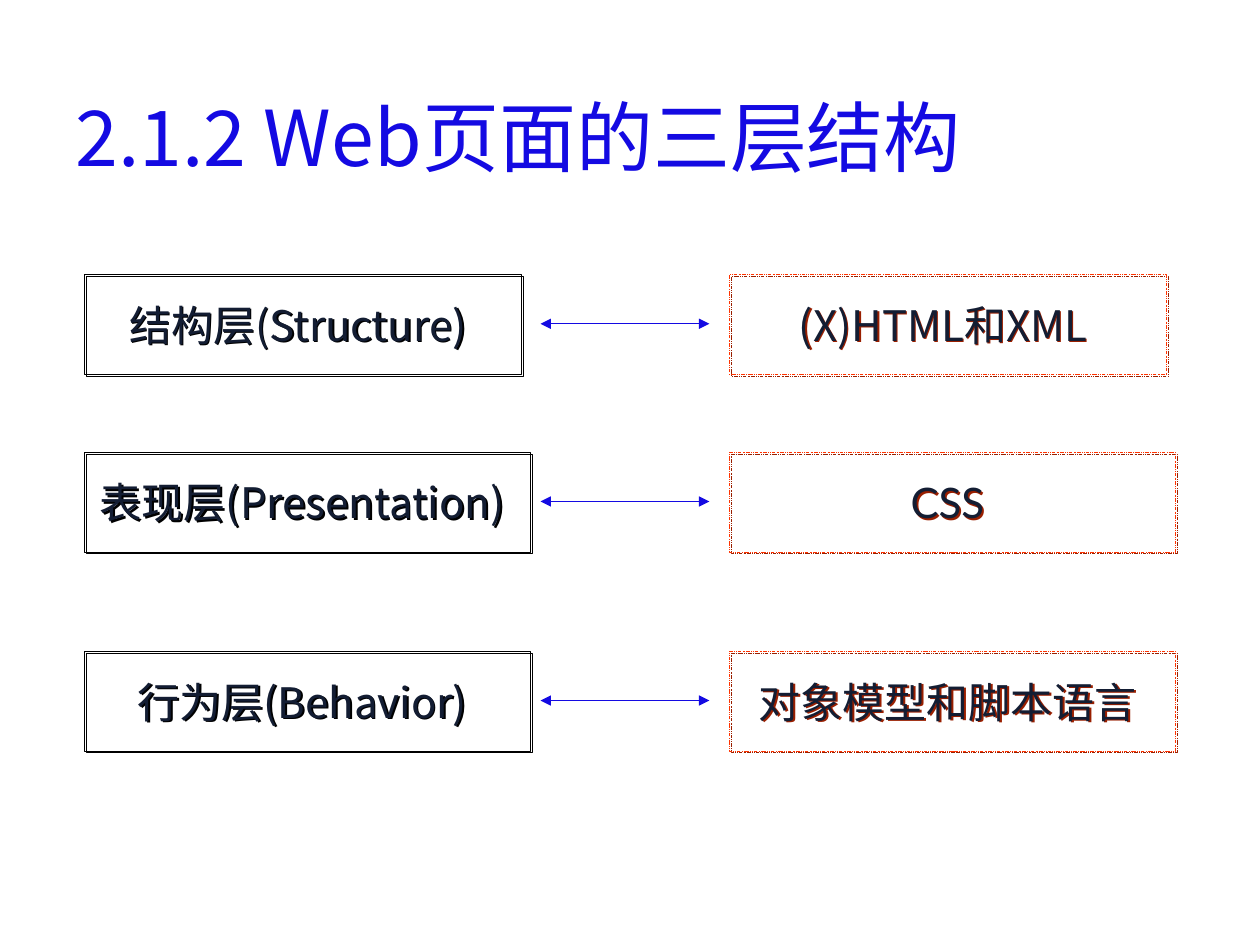
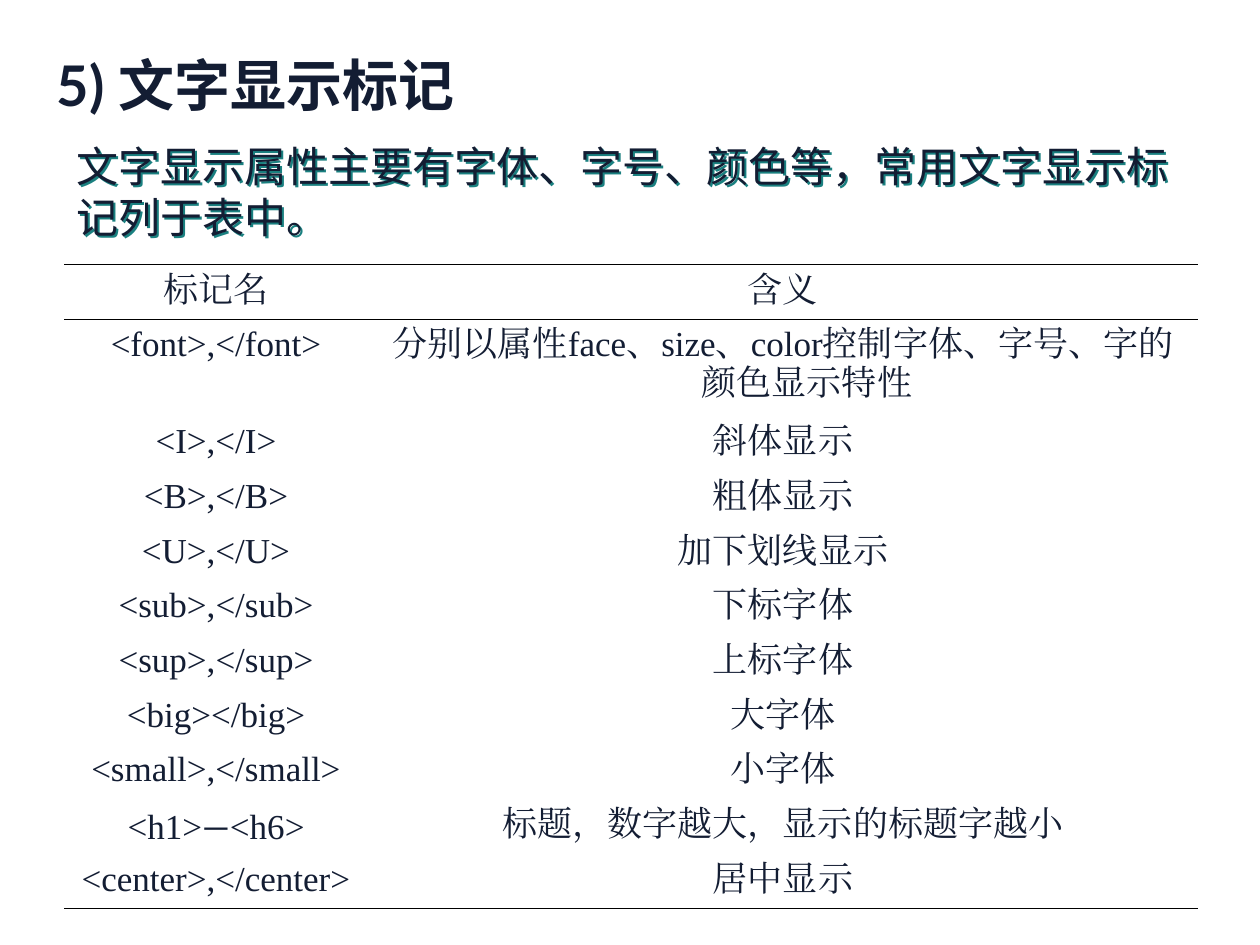
from lxml import etree
from pptx import Presentation
from pptx import util as u
from pptx.dml import color
from pptx.enum import dml, shapes, text
from pptx.oxml import ns

PX = 9144
HUES = {"ink": "131D33", "blue": "140AE2", "black": "000000",
        "red": "FF3300", "rust": "991F00", "teal": "1A8080"}
SANS, LATO, SERIF = "Noto Sans CJK SC", "Lato", "Times New Roman"

LAYERS = [
    (218, 347, "结构层(Structure)", "(X)HTML和XML", SANS),
    (359, 354, "表现层(Presentation)", "CSS", LATO),
    (517, 354, "行为层(Behavior)", "对象模型和脚本语言", LATO),
]
TAGS = [
    ("标记名", "含义"),
    ("<font>,</font>", "分别以属性face、size、color控制字体、字号、字的颜色显示特性"),
    ("<I>,</I>", "斜体显示"),
    ("<B>,</B>", "粗体显示"),
    ("<U>,</U>", "加下划线显示"),
    ("<sub>,</sub>", "下标字体"),
    ("<sup>,</sup>", "上标字体"),
    ("<big></big>", "大字体"),
    ("<small>,</small>", "小字体"),
    ([("<h1>", SERIF), ("—", LATO), ("<h6>", SERIF)], "标题，数字越大，显示的标题字越小"),
    ("<center>,</center>", "居中显示"),
]


def emu(*sizes):
    return [u.Emu(size * PX) for size in sizes]


def rgb(hue):
    return color.RGBColor.from_string(HUES[hue])


def sub(node, tag, **attrs):
    return etree.SubElement(node, ns.qn(tag), attrs)


def write(frame, words, font=SANS, east=None, size=24, hue="ink", bold=False,
          align=text.PP_ALIGN.LEFT, anchor=text.MSO_ANCHOR.MIDDLE, wrap=True, hang=0):
    frame.word_wrap = wrap
    frame.vertical_anchor = anchor
    para = frame.paragraphs[0]
    para.alignment = align
    if hang:
        props = para._p.get_or_add_pPr()
        props.set("marL", str(hang * PX))
        props.set("indent", str(-hang * PX))
    parts = [(words, font)] if isinstance(words, str) else words
    for part, face in parts:
        run = para.add_run()
        run.text = part
        run.font.name = face
        run.font.size = u.Pt(size)
        run.font.bold = bold
        run.font.color.rgb = rgb(hue)
        sub(run._r.get_or_add_rPr(), "a:ea", typeface=east or face)


def shade(shape, hue):
    shape.shadow.inherit = False
    glow = shape._element.spPr.find(ns.qn("a:effectLst"))
    drop = sub(glow, "a:outerShdw", dist="17780", dir="2700000", algn="ctr", rotWithShape="0")
    sub(drop, "a:srgbClr", val=HUES[hue])


def head(deck, words, box, **fmt):
    slide = deck.slides.add_slide(deck.slide_layouts[5])
    title = slide.shapes.title
    title.left, title.top, title.width, title.height = emu(*box)
    title.text_frame.auto_size = text.MSO_AUTO_SIZE.NONE
    write(title.text_frame, words, **fmt)
    return slide


def panel(slide, words, box, edge, shadow, font=SANS, dash=None):
    rect = slide.shapes.add_shape(shapes.MSO_SHAPE.RECTANGLE, *emu(*box))
    rect.fill.background()
    rect.line.color.rgb = rgb(edge)
    rect.line.width = u.Pt(0.25)
    if dash:
        rect.line.dash_style = dash
    shade(rect, shadow)
    rect.text_frame.margin_right = u.Emu(18 * PX)
    write(rect.text_frame, words, font=font, align=text.PP_ALIGN.CENTER, wrap=False)


def arrow(slide, left, right, y):
    link = slide.shapes.add_connector(shapes.MSO_CONNECTOR.STRAIGHT, *emu(left, y, right, y))
    link.line.color.rgb = rgb("blue")
    link.line.width = u.Pt(0.75)
    for end in ("a:headEnd", "a:tailEnd"):
        sub(link.line._get_or_add_ln(), end, type="triangle")
    sub(link._element.spPr, "a:effectLst")


def note(slide, words, box):
    area = slide.shapes.add_textbox(*emu(*box))
    shade(area, "teal")
    write(area.text_frame, words, east=LATO, anchor=text.MSO_ANCHOR.TOP)


def rule(cell, sides):
    props = cell._tc.get_or_add_tcPr()
    for spot, side in enumerate("LRTB"):
        line = etree.Element(ns.qn("a:ln" + side), w="5715")
        if side in sides:
            sub(sub(line, "a:solidFill"), "a:srgbClr", val=HUES["black"])
        else:
            sub(line, "a:noFill")
        props.insert(spot, line)


def grid(slide, rows, box, wide):
    table = slide.shapes.add_table(len(rows), len(wide), *emu(*box)).table
    table.first_row = table.horz_banding = False
    for col, width in zip(table.columns, emu(*wide)):
        col.width = width
    last = len(rows) - 1
    edges = {0: "TB", 1: "T", last: "B"}
    for i, row in enumerate(rows):
        table.rows[i].height = u.Emu((77 if i == 1 else 43) * PX)
        for j, words in enumerate(row):
            cell = table.cell(i, j)
            cell.fill.background()
            rule(cell, edges.get(i, ""))
            write(cell.text_frame, words, font=SERIF, size=20, hang=38,
                  align=text.PP_ALIGN.CENTER, anchor=text.MSO_ANCHOR.TOP)


def main():
    deck = Presentation()
    deck.slide_width, deck.slide_height = emu(1000, 750)

    slide = head(deck, "2.1.2 Web页面的三层结构", (50, 32, 900, 151), size=44, hue="blue")
    tall = 79
    for top, width, layer, tool, font in LAYERS:
        panel(slide, layer, (67, top, width, tall), "black", "black")
        panel(slide, tool, (579, top, width, tall), "red", "rust", font,
              dml.MSO_LINE.DASH_DOT_DOT)
        arrow(slide, 429, 563, top + tall // 2)

    slide = head(deck, "5) 文字显示标记", (35, 21, 900, 91), font=LATO, size=32, bold=True)
    note(slide, "文字显示属性主要有字体、字号、颜色等，常用文字显示标记列于表中。", (51, 107, 906, 90))
    grid(slide, TAGS, (51, 210, 900, 510), (241, 659))

    deck.save("out.pptx")


if __name__ == "__main__":
    main()
